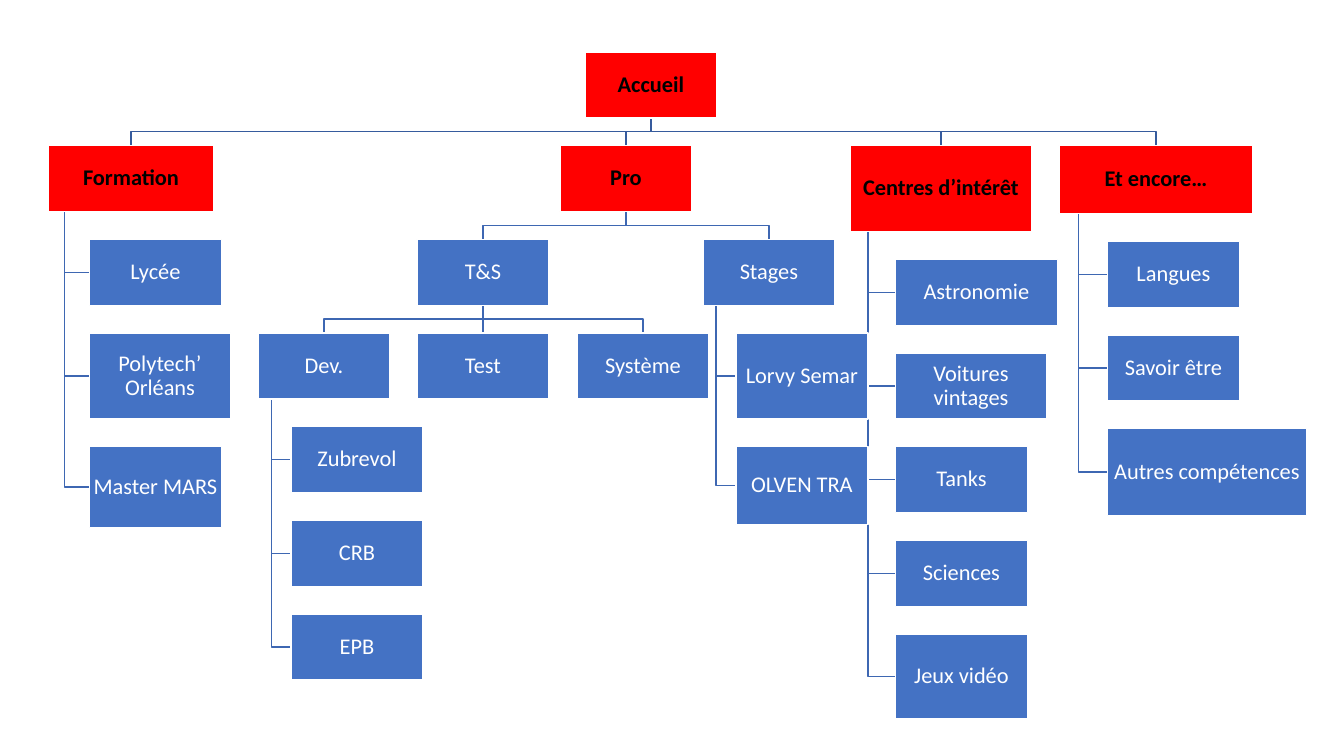
from pptx import Presentation
from pptx.dml.color import RGBColor
from pptx.enum.shapes import MSO_CONNECTOR, MSO_SHAPE
from pptx.enum.text import MSO_ANCHOR, PP_ALIGN
from pptx.oxml.ns import qn
from pptx.util import Pt

STRAIGHT = MSO_CONNECTOR.STRAIGHT
RECTANGLE = MSO_SHAPE.RECTANGLE
MIDDLE = MSO_ANCHOR.MIDDLE
CENTER = PP_ALIGN.CENTER
COLORS = {"main": "FF0000", "topic": "4472C4", "main_text": "000000",
          "topic_text": "FFFFFF", "border": "FFFFFF",
          "main_link": "365B9D", "topic_link": "3E67B2"}


# Content: a node with a left edge sits in a row, one without hangs in a stack
def node(text, *children, left=None, width=132, height=66, kind="topic"):
    return {"text": text, "children": children, "left": left,
            "width": width, "height": height, "kind": kind}


formation = node(
    "Formation",
    node("Lycée"),
    node("Polytech’ Orléans", width=141, height=86),
    node("Master MARS", height=81),
    left=48, width=166, kind="main")
services = node(
    "T&S",
    node("Dev.", node("Zubrevol"), node("CRB"), node("EPB"), left=258),
    node("Test", left=417),
    node("Système", left=577),
    left=417)
internships = node(
    "Stages",
    node("Lorvy Semar", height=86),
    node("OLVEN TRA", height=78),
    left=703)
career = node("Pro", services, internships, left=560, kind="main")
interests = node(
    "Centres d’intérêt",
    node("Astronomie", width=162),
    node("Voitures vintages", width=151),
    node("Tanks"),
    node("Sciences"),
    node("Jeux vidéo", height=85),
    left=850, width=182, height=86, kind="main")
more = node(
    "Et encore…",
    node("Langues"),
    node("Savoir être"),
    node("Autres compétences", width=199, height=87),
    left=1059, width=194, height=68, kind="main")
home = node("Accueil", formation, career, interests, more, left=585, kind="main")

# Layout: seven rows of standard boxes fix the gap between levels
FIRST_TOP, LAST_TOP, ROWS = 52, 614, 7
GAP = (LAST_TOP - FIRST_TOP) / (ROWS - 1) - 66
EMU_PER_PIXEL = 914400 / 100.8


def emu(pixels):
    return round(pixels * EMU_PER_PIXEL)


def center(item):
    return item["left"] + item["width"] / 2


def place(item, top):
    """Set tops and stacked lefts; return all nodes and links of the branch."""
    item["top"] = top
    bottom = child_top = top + item["height"]
    nodes, links = [item], []
    for child in item["children"]:
        if child["left"] is None:
            child["left"] = item["left"] + item["width"] / 4
            child_top += GAP
            trunk = item["left"] + item["width"] / 10
            middle = child_top + child["height"] / 2
            points = [(trunk, bottom), (trunk, middle), (child["left"], middle)]
        else:
            child_top = bottom + GAP
            bus = bottom + GAP / 2
            points = [(center(item), bottom), (center(item), bus),
                      (center(child), bus), (center(child), child_top)]
        links.append((points, child["kind"] + "_link"))
        child_nodes, child_links = place(child, child_top)
        nodes += child_nodes
        links += child_links
        child_top += child["height"]
    return nodes, links


deck = Presentation()
deck.slide_width, deck.slide_height = emu(1344), emu(756)
page = deck.slides.add_slide(deck.slide_layouts[6])


def rgb(name):
    return RGBColor.from_string(COLORS[name])


def add_link(points, color):
    points = [(emu(x), emu(y)) for x, y in points]
    if len({x for x, _ in points}) == 1:
        link = page.shapes.add_connector(STRAIGHT, *points[0], *points[-1])
        properties = link._element.spPr
        properties.append(properties.makeelement(qn("a:effectLst"), {}))
    else:
        builder = page.shapes.build_freeform(*points[0])
        builder.add_line_segments(points[1:], close=False)
        link = builder.convert_to_shape()
        link.fill.background()
        link.shadow.inherit = False
    link.line.color.rgb = rgb(color)
    link.line.width = Pt(1)


def write(box, text, color, size=16, bold=False):
    frame = box.text_frame
    frame.word_wrap = True
    frame.vertical_anchor = MIDDLE
    frame.margin_left = frame.margin_right = emu(1)
    frame.margin_top = frame.margin_bottom = emu(1)
    para = frame.paragraphs[0]
    para.alignment = CENTER
    para.line_spacing = 0.9
    span = para.add_run()
    span.text = text
    span.font.name = "Calibri"
    span.font.size = Pt(size)
    span.font.bold = bold
    span.font.color.rgb = rgb(color)


nodes, links = place(home, FIRST_TOP)

# Links lie behind the boxes
for points, color in links:
    add_link(points, color)

# Boxes
for item in nodes:
    edges = [emu(item[key]) for key in ("left", "top", "width", "height")]
    box = page.shapes.add_shape(RECTANGLE, *edges)
    box.shadow.inherit = False
    box.fill.solid()
    box.fill.fore_color.rgb = rgb(item["kind"])
    box.line.color.rgb = rgb("border")
    box.line.width = Pt(1)
    write(box, item["text"], item["kind"] + "_text", bold=item["kind"] == "main")

deck.save("out.pptx")
